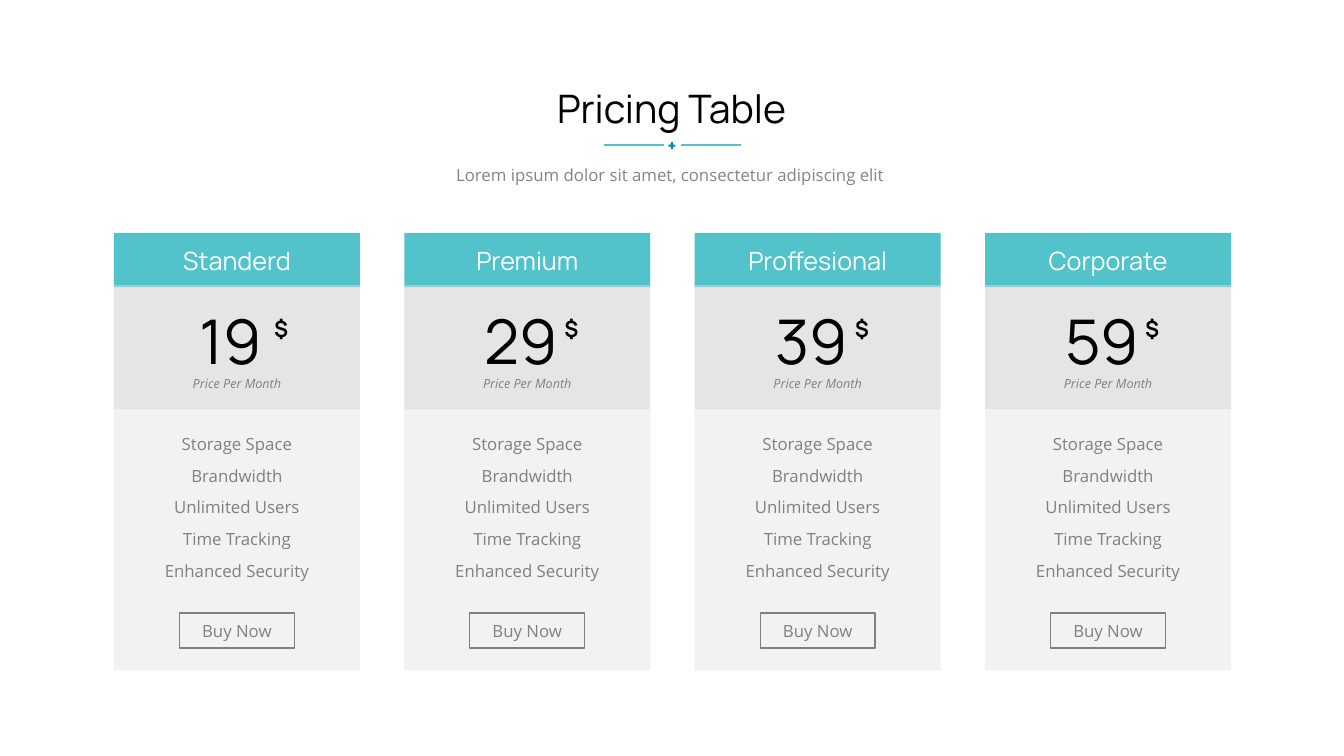
"""Build a pricing slide with four plan cards."""
from dataclasses import dataclass
import lxml.etree
import pptx
import pptx.dml.color
import pptx.enum.shapes
import pptx.enum.text
import pptx.oxml.ns
import pptx.util

PX = 9144
COLORS = {
    "teal": "52C3CB",
    "blue": "0187AD",
    "panel": "F2F2F2",
    "band": "D9D9D9",
    "grey": "808080",
    "subtitle": "848484",
    "black": "000000",
    "white": "FFFFFF",
}
FEATURES = ["Storage Space", "Brandwidth", "Unlimited Users", "Time Tracking", "Enhanced Security"]
CARD_LEFT, CARD_STEP, CARD_WIDTH = 113, 288, 244
ALIGN = pptx.enum.text.PP_ALIGN
ANCHOR = pptx.enum.text.MSO_ANCHOR
SHAPES = pptx.enum.shapes.MSO_SHAPE


@dataclass(frozen=True)
class Area:
    left: int
    top: int
    width: int
    height: int

    def emu(self) -> list[int]:
        return [value * PX for value in (self.left, self.top, self.width, self.height)]


@dataclass(frozen=True)
class Style:
    font: str
    size: int
    color: str
    bold: bool = False
    italic: bool = False
    align: ALIGN = ALIGN.CENTER


@dataclass(frozen=True)
class Plan:
    name: str
    price: str


PLANS = [
    Plan("Standerd", "19"),
    Plan("Premium", "29"),
    Plan("Proffesional", "39"),
    Plan("Corporate", "59"),
]
TITLE = Style("Manrope", 28, "black")
SUBTITLE = Style("Open Sans", 12, "subtitle")
PLAN_NAME = Style("Manrope", 18, "white")
PRICE = Style("Manrope", 44, "black")
CURRENCY = Style("Manrope", 16, "black", bold=True, align=ALIGN.LEFT)
PERIOD = Style("Open Sans", 9, "grey", italic=True)
BODY = Style("Open Sans", 12, "grey")


def rgb(name: str) -> pptx.dml.color.RGBColor:
    return pptx.dml.color.RGBColor.from_string(COLORS[name])


def write(box, text: str, style: Style, anchor: ANCHOR = ANCHOR.TOP) -> None:
    frame = box.text_frame
    frame.text = text
    frame.word_wrap = True
    frame.auto_size = pptx.enum.text.MSO_AUTO_SIZE.NONE
    frame.vertical_anchor = anchor
    for para in frame.paragraphs:
        para.alignment = style.align
        for span in para.runs:
            span.font.name = style.font
            span.font.size = pptx.util.Pt(style.size)
            span.font.bold = style.bold
            span.font.italic = style.italic
            span.font.color.rgb = rgb(style.color)


def place(box, area: Area) -> None:
    box.left, box.top, box.width, box.height = area.emu()


def add_label(page, area: Area, text: str, style: Style):
    box = page.shapes.add_textbox(*area.emu())
    write(box, text, style)
    return box


def add_block(page, area: Area, fill: str | None, line: str | None = None, kind=SHAPES.RECTANGLE):
    block = page.shapes.add_shape(kind, *area.emu())
    block.shadow.inherit = False
    if fill:
        block.fill.solid()
        block.fill.fore_color.rgb = rgb(fill)
    else:
        block.fill.background()
    if line:
        block.line.color.rgb = rgb(line)
        block.line.width = pptx.util.Pt(1)
    else:
        block.line.fill.background()
    return block


def add_rule(page, left: int, top: int, width: int) -> None:
    rule = page.shapes.add_connector(
        pptx.enum.shapes.MSO_CONNECTOR.STRAIGHT, left * PX, top * PX, (left + width) * PX, top * PX)
    rule.line.color.rgb = rgb("teal")
    rule.line.width = pptx.util.Pt(1.5)
    lxml.etree.SubElement(rule._element.spPr, pptx.oxml.ns.qn("a:effectLst"))


def fill_feature_panel(panel, left: int) -> None:
    place(panel, Area(left, 237, CARD_WIDTH, 428))
    panel.fill.solid()
    panel.fill.fore_color.rgb = rgb("panel")
    write(panel, "\n".join(FEATURES), BODY)
    panel.text_frame.margin_top = 193 * PX
    for para in panel.text_frame.paragraphs:
        properties = para._p.get_or_add_pPr()
        properties.set("marL", "0")
        properties.set("indent", "0")
        lxml.etree.SubElement(properties, pptx.oxml.ns.qn("a:buNone"))
        para.line_spacing = 1.0
        para.space_before = pptx.util.Pt(0)
        para.space_after = pptx.util.Pt(8.3)


def add_card(page, panel, plan: Plan, left: int) -> None:
    fill_feature_panel(panel, left)
    header = add_block(page, Area(left, 231, CARD_WIDTH, 54), "teal")
    write(header, plan.name, PLAN_NAME, ANCHOR.MIDDLE)
    band = add_block(page, Area(left, 283, CARD_WIDTH, 123), "band")
    color = band._element.spPr.find(".//" + pptx.oxml.ns.qn("a:srgbClr"))
    lxml.etree.SubElement(color, pptx.oxml.ns.qn("a:alpha"), val="50000")
    add_label(page, Area(left + 60, 296, 112, 84), plan.price, PRICE)
    add_label(page, Area(left + 149, 308, 32, 37), "$", CURRENCY)
    add_label(page, Area(left + 32, 368, 180, 25), "Price Per Month", PERIOD)
    button = add_block(page, Area(left + 65, 608, 114, 35), None, "grey")
    write(button, "Buy Now", BODY, ANCHOR.MIDDLE)


def add_heading(page) -> None:
    title = page.shapes.title
    place(title, Area(427, 79, 478, 57))
    write(title, "Pricing Table", TITLE)
    for left in (599, 675):
        add_rule(page, left, 144, 60)
    plus = add_block(page, Area(663, 141, 7, 7), "blue", kind=SHAPES.CROSS)
    plus.adjustments[0] = 0.36
    subtitle = add_label(
        page, Area(323, 153, 688, 34), "Lorem ipsum dolor sit amet, consectetur adipiscing elit ", SUBTITLE)
    subtitle.text_frame.paragraphs[0].line_spacing = 1.3


def main() -> None:
    deck = pptx.Presentation()
    deck.slide_width, deck.slide_height = 1333 * PX, 750 * PX
    page = deck.slides.add_slide(deck.slide_layouts.get_by_name("Comparison"))
    panels = [box for box in page.placeholders if box.placeholder_format.idx > 0]
    add_heading(page)
    for index, (panel, plan) in enumerate(zip(panels, PLANS)):
        add_card(page, panel, plan, CARD_LEFT + index * CARD_STEP)
    deck.save("out.pptx")


if __name__ == "__main__":
    main()
